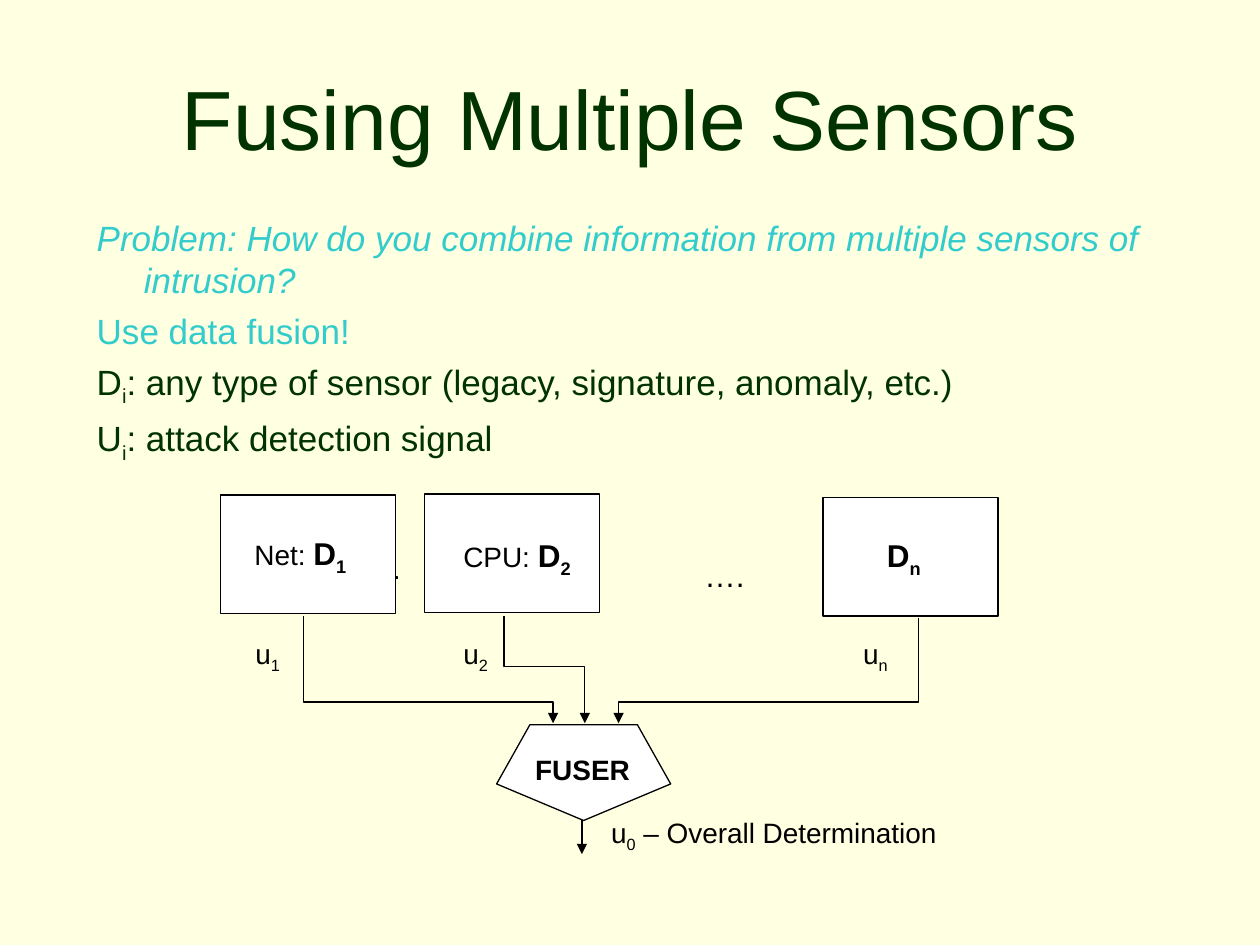
from pptx import Presentation
from pptx.dml.color import RGBColor
from pptx.enum import shapes, text
from pptx.oxml import parse_xml
from pptx.oxml.ns import nsdecls
from pptx.util import Cm, Pt

GREEN, TEAL, BLACK, WHITE, CREAM = "003300", "33CCCC", "000000", "FFFFFF", "FFFFE1"
rgb = RGBColor.from_string


def add_runs(p, runs, color, **base):
    """Add (text, format) runs; the key 'sub' makes a subscript."""
    for words, extra in runs:
        r = p.add_run()
        r.text = words
        r.font.color.rgb = rgb(color)
        fmt = {"name": "Arial", **base, **extra}
        if fmt.pop("sub", False):
            r.font._element.set("baseline", "-25000")
        for key, value in fmt.items():
            setattr(r.font, key, value)


def style(sp, arrow=False):
    """Thin black line, white fill for shapes, arrowhead for lines."""
    sp.line.color.rgb = rgb(BLACK)
    sp.line.width = Pt(0.75)
    if arrow:
        ln = sp.line._get_or_add_ln()
        ln.append(parse_xml(f'<a:tailEnd {nsdecls("a")} type="triangle"/>'))
    else:
        sp.fill.solid()
        sp.fill.fore_color.rgb = rgb(WHITE)
        sp.shadow.inherit = False


prs = Presentation()
prs.slide_width, prs.slide_height = Cm(25.4), Cm(19.05)
s = prs.slides.add_slide(prs.slide_layouts[5])
s.background.fill.solid()
s.background.fill.fore_color.rgb = rgb(CREAM)

# Title
title = s.shapes.title
title.left, title.top, title.width, title.height = Cm(1.27), Cm(0.76), Cm(22.86), Cm(3.18)
tf = title.text_frame
tf.auto_size = text.MSO_AUTO_SIZE.NONE
tf.vertical_anchor = text.MSO_ANCHOR.MIDDLE
p = tf.paragraphs[0]
p.alignment = text.PP_ALIGN.CENTER
add_runs(p, [("Fusing Multiple Sensors", {})], GREEN, size=Pt(48))

# Problem statement and definitions
SUB = {"sub": True}
body = [
    (TEAL, [("Problem: How do you combine information from multiple sensors of intrusion?",
             {"italic": True})]),
    (TEAL, [("Use data fusion!", {})]),
    (GREEN, [("D", {}), ("i", SUB),
             (": any type of sensor (legacy, signature, anomaly, etc.)", {})]),
    (GREEN, [("U", {}), ("i", SUB), (": attack detection signal", {})]),
]
tf = s.shapes.add_textbox(Cm(1.7), Cm(4.24), Cm(21.59), Cm(12.27)).text_frame
tf.word_wrap = True
for i, (color, runs) in enumerate(body):
    p = tf.add_paragraph() if i else tf.paragraphs[0]
    pPr = p._p.get_or_add_pPr()
    pPr.set("marL", str(Cm(0.95)))
    pPr.set("indent", str(Cm(-0.95)))
    if i:
        p.space_before = Pt(5)
    add_runs(p, runs, color, size=Pt(20))

# Small tick beside the first sensor, then the three sensor boxes
RECT = shapes.MSO_SHAPE.RECTANGLE
for x, y, w, h in [(7.87, 11.63, 0.15, 0.03), (4.45, 9.98, 3.53, 2.39),
                   (8.56, 9.96, 3.53, 2.39), (16.59, 10.03, 3.53, 2.39)]:
    style(s.shapes.add_shape(RECT, Cm(x), Cm(y), Cm(w), Cm(h)))

# Fuser
fuser = s.shapes.add_shape(shapes.MSO_SHAPE.REGULAR_PENTAGON,
                           Cm(10.01), Cm(14.61), Cm(3.51), Cm(1.93))
fuser.rotation = 180
style(fuser)

# Elbow arrows from the sensors into the fuser
for x1, y1, bend, x2 in [(6.12, 12.42, 14.15, 11.15),
                         (10.16, 12.42, 13.44, 11.79),
                         (18.52, 12.45, 14.15, 12.47)]:
    fb = s.shapes.build_freeform(Cm(x1), Cm(y1))
    fb.add_line_segments([(Cm(x1), Cm(bend)), (Cm(x2), Cm(bend)), (Cm(x2), Cm(14.58))],
                         close=False)
    elbow = fb.convert_to_shape()
    elbow.fill.background()
    elbow.shadow.inherit = False
    style(elbow, arrow=True)

# Output arrow
out = s.shapes.add_connector(shapes.MSO_CONNECTOR.STRAIGHT,
                             Cm(11.73), Cm(16.54), Cm(11.73), Cm(17.22))
style(out, arrow=True)
out._element.spPr.append(parse_xml(f'<a:effectLst {nsdecls("a")}/>'))

# Labels
BOLD = {"bold": True}
BIG = {"bold": True, "size": Pt(18)}
BIG_SUB = {**BIG, **SUB}
labels = [
    (4.88, 10.64, 2.97, [("Net: ", {}), ("D", BIG), ("1", BIG_SUB)]),
    (9.09, 10.69, 2.9, [("CPU: ", {}), ("D", BIG), ("2", BIG_SUB)]),
    (17.63, 10.69, 1.9, [("D", BIG), ("n", BIG_SUB)]),
    (4.9, 12.7, 1.88, [("u", {}), ("1", SUB)]),
    (9.09, 12.7, 1.88, [("u", {}), ("2", SUB)]),
    (17.15, 12.7, 1.88, [("u", {}), ("n", SUB)]),
    (10.54, 15.04, 3, [("FUSER", BOLD)]),
    (12.07, 16.31, 8.46, [("u", {}), ("0", SUB), (" – Overall Determination", {})]),
]
for x, y, w, runs in labels:
    tf = s.shapes.add_textbox(Cm(x), Cm(y), Cm(w), Cm(1.14)).text_frame
    tf.word_wrap = True
    add_runs(tf.paragraphs[0], runs, BLACK, size=Pt(16))

# Ellipsis between the sensors
tf = s.shapes.add_textbox(Cm(12.7), Cm(11.23), Cm(3.81), Cm(0.86)).text_frame
tf.word_wrap = True
p = tf.paragraphs[0]
for key, value in {"alignment": text.PP_ALIGN.CENTER, "line_spacing": 0.8}.items():
    setattr(p, key, value)
add_runs(p, [("….", {})], BLACK, size=Pt(18))

prs.save("out.pptx")
